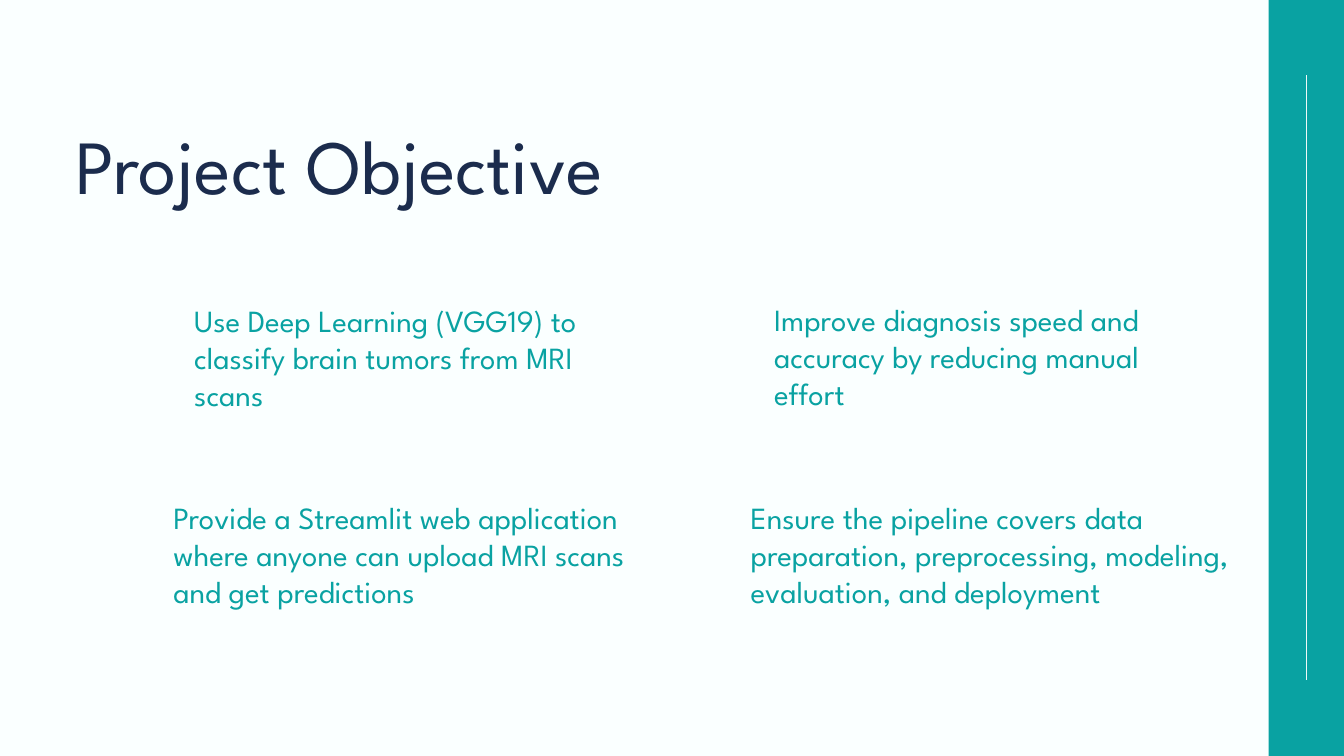
"""Build the Project Objective slide with four goals and a teal side band."""
from lxml import etree
from pptx import Presentation
from pptx.dml.color import RGBColor
from pptx.enum.shapes import MSO_CONNECTOR, MSO_SHAPE
from pptx.enum.text import MSO_ANCHOR, MSO_AUTO_SIZE, PP_ALIGN
from pptx.oxml.ns import qn
from pptx.util import Inches, Pt

RECTANGLE = MSO_SHAPE.RECTANGLE
STRAIGHT = MSO_CONNECTOR.STRAIGHT
TOP = MSO_ANCHOR.TOP
LEFT = PP_ALIGN.LEFT
GROW = MSO_AUTO_SIZE.SHAPE_TO_FIT_TEXT
FONT = "League Spartan"
TEAL, NAVY, PALE, BACKGROUND = "09A2A2", "1B2C4D", "EFF8F8", "FAFFFF"


def rgb(hex_color):
    return RGBColor.from_string(hex_color)


def write_text(shape, box, text, size, color):
    shape.left, shape.top, shape.width, shape.height = [Inches(v) for v in box]
    tf = shape.text_frame
    tf.margin_left = tf.margin_top = tf.margin_right = tf.margin_bottom = 0
    tf.word_wrap = True
    tf.auto_size = GROW
    tf.vertical_anchor = TOP
    tf.text = text
    p = tf.paragraphs[0]
    p.alignment = LEFT
    p.line_spacing = Pt(size * 1.2)
    p.space_before = Pt(0)
    font = p.runs[0].font
    font.name = FONT
    font.size = Pt(size)
    font.color.rgb = rgb(color)


prs = Presentation()
prs.slide_width, prs.slide_height = Inches(20), Inches(11.25)
s = prs.slides.add_slide(prs.slide_layouts[5])
s.background.fill.solid()
s.background.fill.fore_color.rgb = rgb(BACKGROUND)

band = s.shapes.add_shape(RECTANGLE, Inches(18.88), 0, Inches(1.12), Inches(11.25))
band.shadow.inherit = False
band.fill.solid()
band.fill.fore_color.rgb = rgb(TEAL)
band.line.fill.background()

rule = s.shapes.add_connector(STRAIGHT, Inches(19.44), Inches(1.12), Inches(19.44), Inches(10.12))
rule.line.color.rgb = rgb(PALE)
rule.line.width = Pt(0.75)
etree.SubElement(rule._element.spPr, qn("a:effectLst"))

write_text(s.shapes.title, (1.12, 1.76, 10.63, 1.38), "Project Objective", 82, NAVY)

objectives = [
    ((2.89, 4.49, 6.15, 2.17), "Use Deep Learning (VGG19) to classify brain tumors from MRI scans"),
    ((2.58, 7.42, 6.78, 2.71), "Provide a Streamlit web application where anyone can upload MRI scans and get predictions"),
    ((11.52, 4.47, 5.89, 2.17), "Improve diagnosis speed and accuracy by reducing manual effort"),
    ((11.17, 7.42, 7.35, 2.71), "Ensure the pipeline covers data preparation, preprocessing, modeling, evaluation, and deployment"),
]
for box, text in objectives:
    write_text(s.shapes.add_textbox(0, 0, 0, 0), box, text, 33, TEAL)

prs.save("out.pptx")
